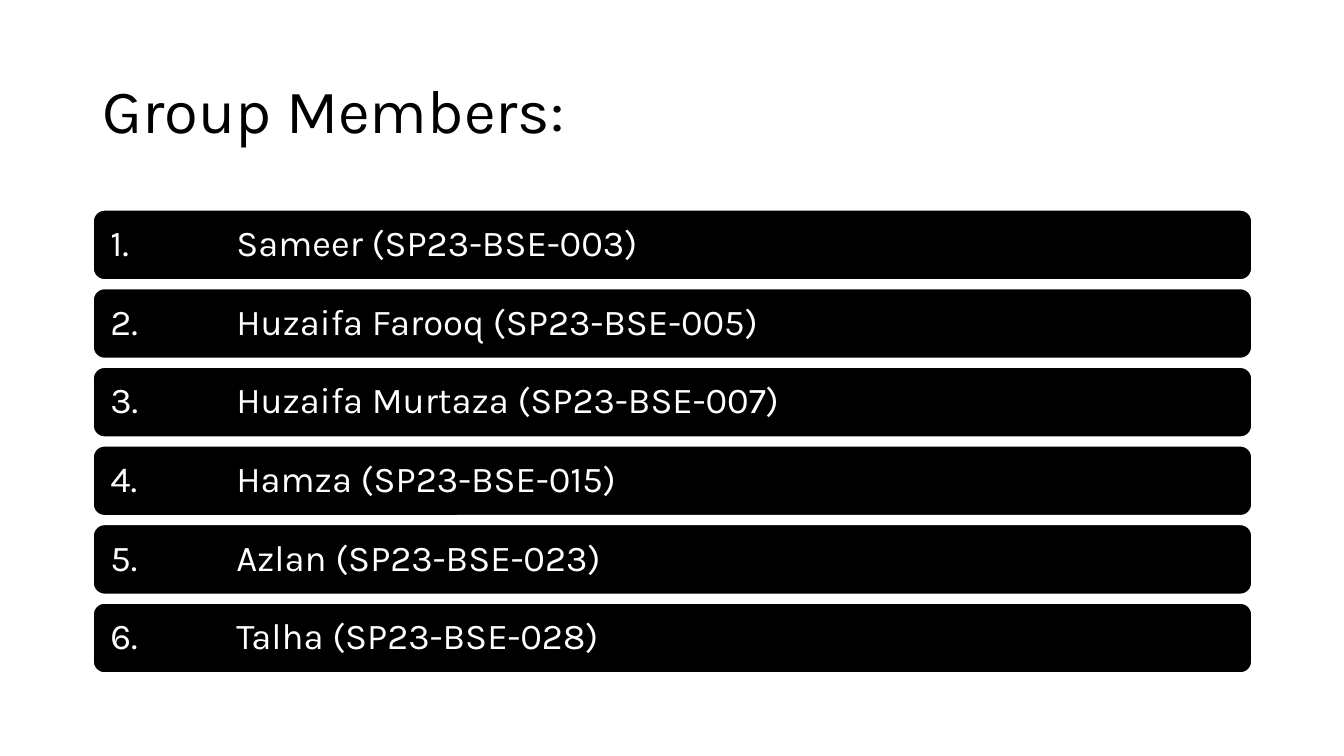
from lxml import etree
from pptx import Presentation
from pptx.dml.color import RGBColor
from pptx.enum.shapes import MSO_SHAPE as Preset
from pptx.enum.text import MSO_ANCHOR as Anchor, PP_ALIGN as Align
from pptx.oxml.ns import qn
from pptx.util import Inches, Pt


def color(hex_string):
    return RGBColor.from_string(hex_string)


def write(shape, text, size, hex_string, frame_format):
    frame = shape.text_frame
    for key, value in frame_format.items():
        setattr(frame, key, value)
    paragraph = frame.paragraphs[0]
    paragraph.alignment = Align.LEFT
    paragraph.line_spacing = 0.9
    run = paragraph.add_run()
    run.text = text
    run.font.name = "Karla"
    run.font.size = Pt(size)
    run.font.color.rgb = color(hex_string)
    return paragraph


prs = Presentation()
prs.slide_width, prs.slide_height = Inches(13.33), Inches(7.5)
slide = prs.slides.add_slide(prs.slide_layouts[6])

LEFT, WIDTH = Inches(0.92), Inches(11.5)
TOP, BAR_HEIGHT, PITCH = 2.08, 0.7, 0.78
CENTERED = {"word_wrap": True, "vertical_anchor": Anchor.MIDDLE}
BAR_FORMAT = {**CENTERED, "margin_left": Inches(0.14), "margin_right": Inches(0.14)}

members = [
    "Sameer (SP23-BSE-003)",
    "Huzaifa Farooq (SP23-BSE-005)",
    "Huzaifa Murtaza (SP23-BSE-007)",
    "Hamza (SP23-BSE-015)",
    "Azlan (SP23-BSE-023)",
    "Talha (SP23-BSE-028)",
]

# Heading
heading = slide.shapes.add_textbox(LEFT, Inches(0.4), WIDTH, Inches(1.45))
write(heading, "Group Members:", 44, "000000", CENTERED)

# One numbered bar per member
for index, member in enumerate(members):
    bar = slide.shapes.add_shape(
        Preset.ROUNDED_RECTANGLE,
        LEFT, Inches(TOP + index * PITCH), WIDTH, Inches(BAR_HEIGHT))
    bar.shadow.inherit = False
    bar.fill.solid()
    bar.fill.fore_color.rgb = color("000000")
    bar.line.color.rgb = color("FFFFFF")
    bar.line.width = Pt(1.5)
    entry = write(bar, f"{index + 1}.\t{member}", 26, "FFFFFF", BAR_FORMAT)

    # Tab stop that lines up the names
    tabs = etree.SubElement(entry._p.get_or_add_pPr(), qn("a:tabLst"))
    etree.SubElement(tabs, qn("a:tab"), pos=str(Inches(1.25)), algn="l")

prs.save("out.pptx")
